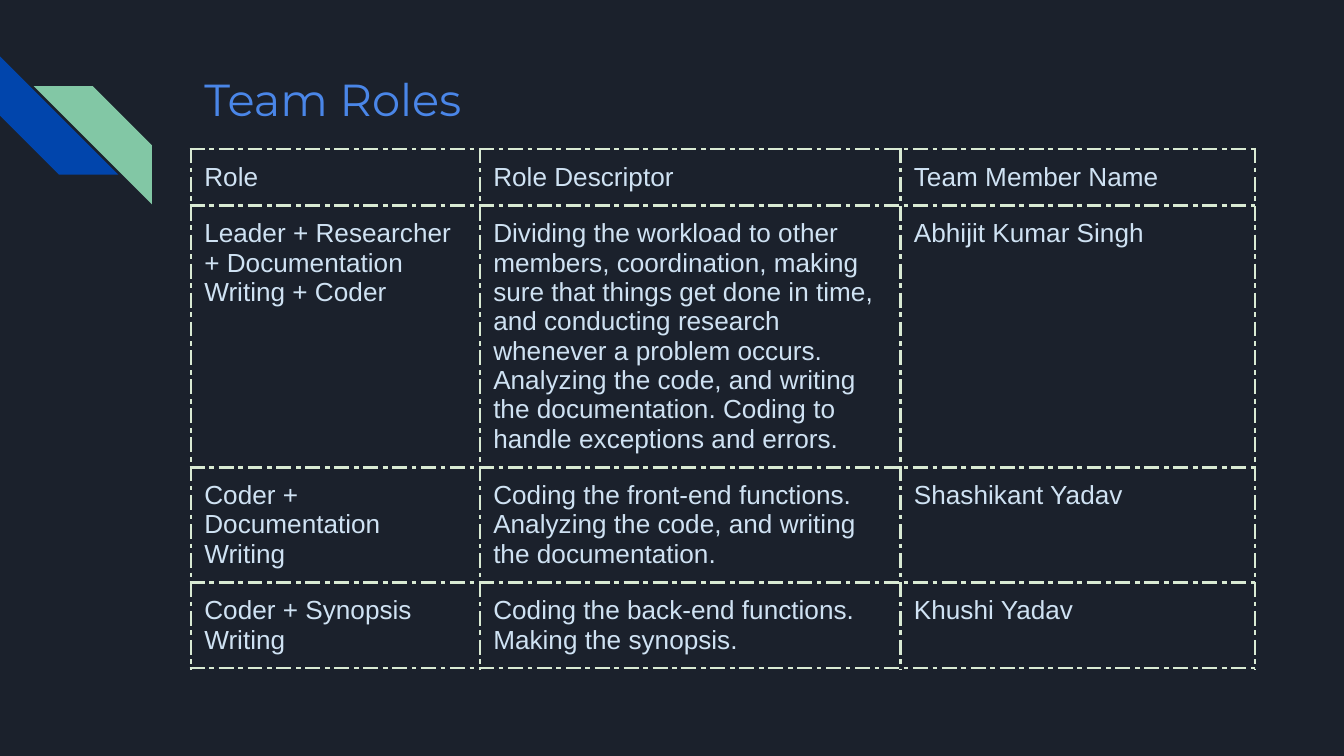
from dataclasses import dataclass

from lxml.etree import SubElement
from pptx import Presentation
from pptx.dml.color import RGBColor
from pptx.enum.shapes import MSO_SHAPE
from pptx.enum.text import MSO_ANCHOR, PP_ALIGN
from pptx.oxml.ns import qn
from pptx.util import Inches, Pt

MARGIN = Inches(0.1)
WIDTHS = (2.15, 3.13, 2.64)
ROW_H = 0.42
ROLES = (
    ("Role", "Role Descriptor", "Team Member Name"),
    (
        "Leader + Researcher + Documentation Writing + Coder",
        "Dividing the workload to other members, coordination, making sure that "
        "things get done in time, and conducting research whenever a problem "
        "occurs. Analyzing the code, and writing the documentation. Coding to "
        "handle exceptions and errors.",
        "Abhijit Kumar Singh",
    ),
    (
        "Coder + Documentation Writing",
        "Coding the front-end functions. Analyzing the code, and writing the "
        "documentation.",
        "Shashikant Yadav",
    ),
    (
        "Coder + Synopsis Writing",
        "Coding the back-end functions. Making the synopsis.",
        "Khushi Yadav",
    ),
)


@dataclass
class Stripe:
    """A diagonal corner stripe."""

    left: float
    top: float
    color: str
    turn: int = 0
    flip: bool = False


STRIPES = (
    Stripe(0, 0.42, "0145AC", turn=270),
    Stripe(0.25, 0.64, "82C7A5", flip=True),
)


def paint(item, color: str) -> None:
    """Give a fill or font a solid hex colour."""
    if hasattr(item, "solid"):
        item.solid()
        item.fore_color.rgb = RGBColor.from_string(color)
    else:
        item.color.rgb = RGBColor.from_string(color)


def write(frame, text: str, font: str, size: int, color: str) -> None:
    """Set a frame's text and format its runs."""
    frame.text = text
    for para in frame.paragraphs:
        para.alignment = PP_ALIGN.LEFT
        for run in para.runs:
            run.font.name = font
            run.font.size = Pt(size)
            run.font.bold = False
            paint(run.font, color)


def pad(box) -> None:
    """Set equal margins on a cell or text frame and anchor it at the top."""
    box.margin_left = box.margin_right = MARGIN
    box.margin_top = box.margin_bottom = MARGIN
    box.vertical_anchor = MSO_ANCHOR.TOP


def draw_stripe(slide, stripe: Stripe) -> None:
    """Draw one corner stripe."""
    side = Inches(0.88)
    shape = slide.shapes.add_shape(
        MSO_SHAPE.DIAGONAL_STRIPE, Inches(stripe.left), Inches(stripe.top), side, side
    )
    shape.shadow.inherit = False
    shape.line.fill.background()
    paint(shape.fill, stripe.color)
    shape.rotation = stripe.turn
    if stripe.flip:
        shape.element.spPr.find(qn("a:xfrm")).set("flipH", "1")


def draw_title(slide, text: str) -> None:
    """Place and format the slide title."""
    title = slide.shapes.title
    title.left, title.top = Inches(1.42), Inches(0.43)
    title.width, title.height = Inches(7.7), Inches(1)
    pad(title.text_frame)
    title.text_frame.word_wrap = True
    write(title.text_frame, text, "Montserrat", 24, "4A86E8")


def edge_cell(cell, color: str, width: float) -> None:
    """Put dash-dot borders on every side of an unfilled cell."""
    props = cell._tc.get_or_add_tcPr()
    for side in ("lnL", "lnR", "lnT", "lnB"):
        line = SubElement(props, qn(f"a:{side}"), w=str(Pt(width)))
        fill = SubElement(line, qn("a:solidFill"))
        SubElement(fill, qn("a:srgbClr"), val=color)
        SubElement(line, qn("a:prstDash"), val="lgDashDot")
    cell.fill.background()


def draw_table(slide) -> None:
    """Draw the table of roles."""
    table = slide.shapes.add_table(
        len(ROLES), len(WIDTHS), Inches(1.42), Inches(1.11),
        Inches(sum(WIDTHS)), Inches(ROW_H * len(ROLES)),
    ).table
    table.first_row = table.horz_banding = False
    for column, width in zip(table.columns, WIDTHS):
        column.width = Inches(width)
    for row, texts in zip(table.rows, ROLES):
        row.height = Inches(ROW_H)
        for cell, text in zip(row.cells, texts):
            pad(cell)
            write(cell.text_frame, text, "Arial", 14, "CFE2F3")
            edge_cell(cell, "D9EAD3", 1.5)


def main() -> None:
    """Build and save a widescreen slide."""
    deck = Presentation()
    deck.slide_width = Inches(10)
    deck.slide_height = deck.slide_width * 9 // 16
    slide = deck.slides.add_slide(deck.slide_layouts[5])
    paint(slide.background.fill, "1B212C")
    for stripe in STRIPES:
        draw_stripe(slide, stripe)
    draw_title(slide, "Team Roles")
    draw_table(slide)
    deck.save("out.pptx")


if __name__ == "__main__":
    main()
